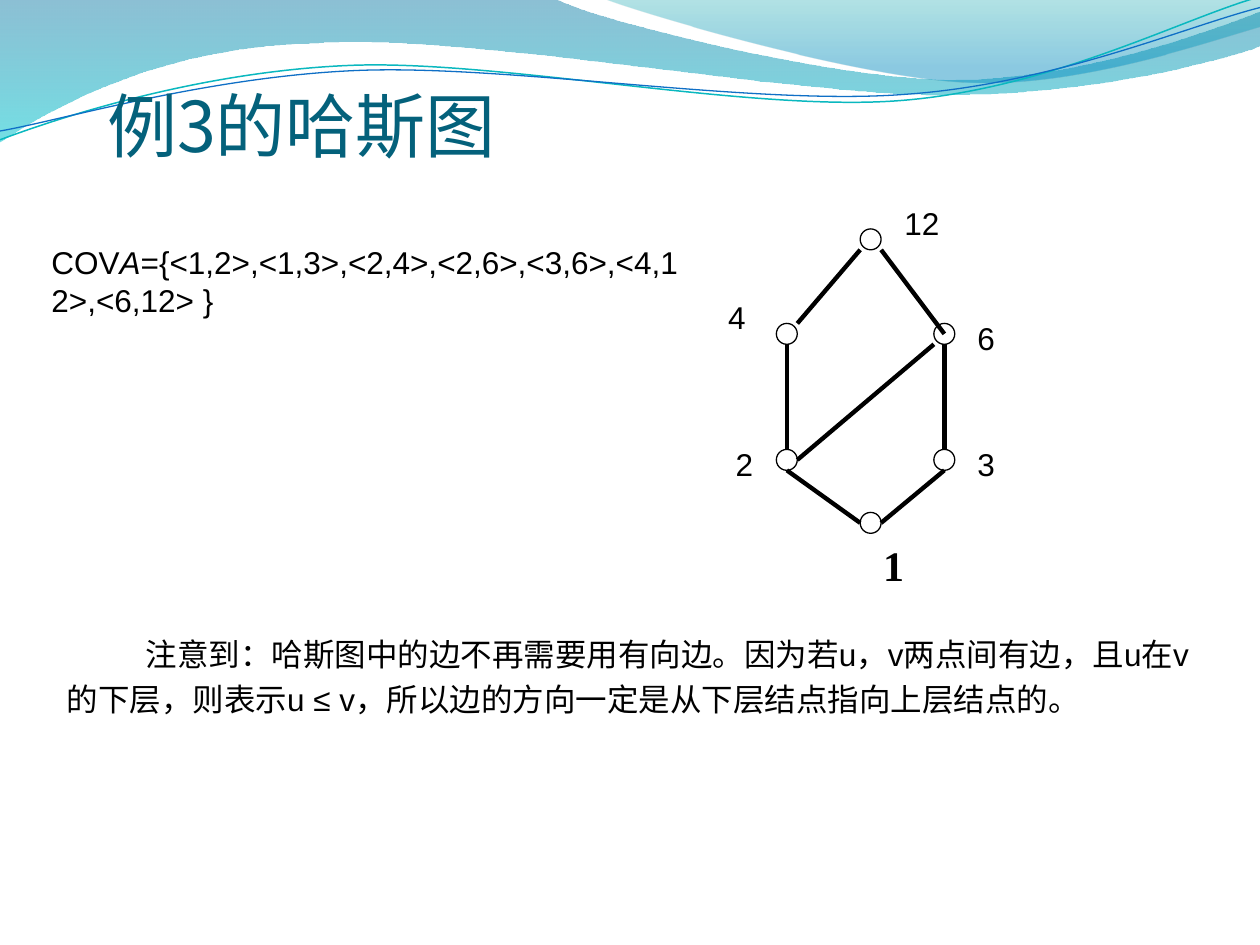
from lxml import etree
from pptx import Presentation
from pptx.dml.color import RGBColor
from pptx.enum.shapes import MSO_CONNECTOR, MSO_SHAPE
from pptx.enum.text import MSO_ANCHOR, PP_ALIGN
from pptx.oxml.ns import qn
from pptx.util import Inches, Pt

OVAL, LINE = MSO_SHAPE.OVAL, MSO_CONNECTOR.STRAIGHT
MIDDLE, TOP = MSO_ANCHOR.MIDDLE, MSO_ANCHOR.TOP
LEFT, JUSTIFY = PP_ALIGN.LEFT, PP_ALIGN.JUSTIFY
HAN, SANS, SERIF = "Noto Sans CJK SC", "Arial", "Times New Roman"
BLACK, WHITE, TEAL = "000000", "FFFFFF", "04617B"

TITLE = "例3的哈斯图"
NOTE = ("注意到：哈斯图中的边不再需要用有向边。因为若u，v两点间有边，且u在v的下层，"
        "则表示u ≤ v，所以边的方向一定是从下层结点指向上层结点的。")
COVER = ["COV", "A", "={<1,2>,<1,3>,<2,4>,<2,6>,<3,6>,<4,12>,<6,12> }"]

BANDS = [
    ([(0, 0), (4.4, -0.01),
      (4.76, 0.17, 6.64, 0.63, 7.58, 0.63), (8.53, 0.63, 9.58, 0.26, 10, 0.09),
      (10.01, 0.36),
      (9.83, 0.44, 8.7, 0.76, 7.46, 0.75), (6.22, 0.75, 3.82, 0.28, 2.57, 0.34),
      (1.29, 0.36, 0.46, 0.83, -0.01, 1.13)],
     [(0, "0074A1", 45), (100, "00C6CF", 55)]),
    ([(4.79, -0.01),
      (5.09, 0.11, 6.82, 0.62, 7.69, 0.65), (8.56, 0.69, 9.61, 0.32, 10, 0.21),
      (10, 0)],
     [(0, "00A1A9", 30), (80, "008BBF", 45)]),
]
WAVES = [
    ([(0, 1.11), (0.48, 0.93, 1.58, 0.57, 2.77, 0.52),
      (3.95, 0.47, 5.93, 0.89, 7.13, 0.8), (8.33, 0.71, 9.38, 0.15, 9.98, -0.02)],
     "0AB8BF", 0.85),
    ([(0, 1.04), (0.47, 0.96, 1.64, 0.61, 2.83, 0.56),
      (4.03, 0.51, 5.97, 0.84, 7.17, 0.75), (8.36, 0.67, 9.41, 0.21, 10, 0.06)],
     "0F6FC6", 0.75),
]

RAD = 0.083
NODES = {"1": (6.91, 4.15), "2": (6.245, 3.65), "3": (7.495, 3.65),
         "4": (6.245, 2.65), "6": (7.495, 2.65), "12": (6.91, 1.9)}
EDGES = [("1", (-1, 0), "2", (0, 1)), ("1", (1, 0), "3", (0, 1)),
         ("2", (0, -1), "4", (0, 1)), ("3", (0, -1), "6", (0, 1)),
         ("4", (1, -1), "12", (-1, 1)), ("12", (1, 1), "6", (0, 0)),
         ("2", (1, 0), "6", (-1, 1))]
LABELS = {"2": (5.74, 3.48, 0.33, 0.5), "3": (7.66, 3.48, 0.5, 0.5),
          "6": (7.66, 2.48, 0.33, 0.5), "12": (7.08, 1.57, 0.76, 0.58),
          "4": (5.68, 2.32, 0.39, 0.5)}


def rgb(code):
    return RGBColor.from_string(code)


def stroke(shape, color, width):
    shape.line.color.rgb = rgb(color)
    shape.line.width = Pt(width)


def curve(shapes, path, close):
    ends = [tuple(map(Inches, seg[-2:])) for seg in path]
    pen = shapes.build_freeform(*ends[0], scale=1.0)
    pen.add_line_segments(ends[1:], close=close)
    shape = pen.convert_to_shape()
    shape.shadow.inherit = False
    steps = list(shape._element.iter(qn("a:lnTo")))
    for step, seg in zip(steps, path[1:]):
        if len(seg) == 2:
            continue
        bend = etree.Element(qn("a:cubicBezTo"))
        for x, y in zip(seg[::2], seg[1::2]):
            etree.SubElement(bend, qn("a:pt"), x=str(Inches(x) - shape.left),
                             y=str(Inches(y) - shape.top))
        step.getparent().replace(step, bend)
    return shape


def blend(shape, stops):
    shape.fill.gradient()
    grad = shape._element.spPr.find(qn("a:gradFill"))
    for kid in list(grad):
        grad.remove(kid)
    row = etree.SubElement(grad, qn("a:gsLst"))
    for pos, color, alpha in stops:
        stop = etree.SubElement(row, qn("a:gs"), pos=str(pos * 1000))
        tint = etree.SubElement(stop, qn("a:srgbClr"), val=color)
        etree.SubElement(tint, qn("a:alpha"), val=str(alpha * 1000))
    etree.SubElement(grad, qn("a:lin"), ang="5400000", scaled="0")
    shape.line.fill.background()


def place(shape, box):
    shape.left, shape.top, shape.width, shape.height = map(Inches, box)


def write(shape, parts, size, font, color=BLACK, anchor=TOP, align=LEFT):
    frame = shape.text_frame
    frame.word_wrap = True
    frame.vertical_anchor = anchor
    para = frame.paragraphs[0]
    para.alignment = align
    for part in parts:
        run = para.add_run()
        run.text = part
        run.font.size, run.font.name = Pt(size), font
        run.font.color.rgb = rgb(color)
        etree.SubElement(run.font._element, qn("a:ea"), typeface=HAN)
    return para


def indent(para, left, first):
    prop = para._p.get_or_add_pPr()
    prop.set("marL", str(Inches(left)))
    prop.set("indent", str(Inches(first)))
    gap = etree.SubElement(prop, qn("a:spcBef"))
    etree.SubElement(gap, qn("a:spcPct"), val="50000")
    etree.SubElement(prop, qn("a:buNone"))


def text(shapes, box, parts):
    return write(shapes.add_textbox(*map(Inches, box)), parts, 18, SANS)


def main():
    deck = Presentation()
    deck.slide_width, deck.slide_height = Inches(10), Inches(7.5)
    slide = deck.slides.add_slide(deck.slide_layouts[1])
    shapes = slide.shapes
    title, body = shapes.title, slide.placeholders[1]

    for path, stops in BANDS:
        blend(curve(shapes, path, True), stops)
    for path, color, width in WAVES:
        wave = curve(shapes, path, False)
        wave.fill.background()
        stroke(wave, color, width)

    for holder in (title, body):
        shapes._spTree.append(holder._element)
    place(title, (0.75, 0.6, 8.5, 0.77))
    write(title, [TITLE], 40, HAN, TEAL, MIDDLE, JUSTIFY)
    place(body, (6.91, 4.23, 0.33, 0.5))
    para = write(body, ["1"], 24, SERIF)
    para.runs[0].font.bold = True
    indent(para, 0.3, -0.3)

    for x, y in NODES.values():
        box = (x - RAD, y - RAD, 2 * RAD, 2 * RAD)
        node = shapes.add_shape(OVAL, *map(Inches, box))
        node.shadow.inherit = False
        node.fill.solid()
        node.fill.fore_color.rgb = rgb(WHITE)
        stroke(node, BLACK, 0.75)

    for low, out, high, into in EDGES:
        ends = [mid + RAD * off for name, side in ((low, out), (high, into))
                for mid, off in zip(NODES[name], side)]
        edge = shapes.add_connector(LINE, *map(Inches, ends))
        stroke(edge, BLACK, 2.5)
        etree.SubElement(edge._element.spPr, qn("a:effectLst"))

    for name, box in LABELS.items():
        indent(text(shapes, box, [name]), 0.38, -0.38)

    para = text(shapes, (0.43, 4.93, 9.14, 1.78), [NOTE])
    para.line_spacing = 1.2
    indent(para, 0, 0.63)
    para = text(shapes, (0.31, 1.88, 5.23, 1.04), COVER)
    para.runs[1].font.italic = True

    deck.save("out.pptx")


if __name__ == "__main__":
    main()
